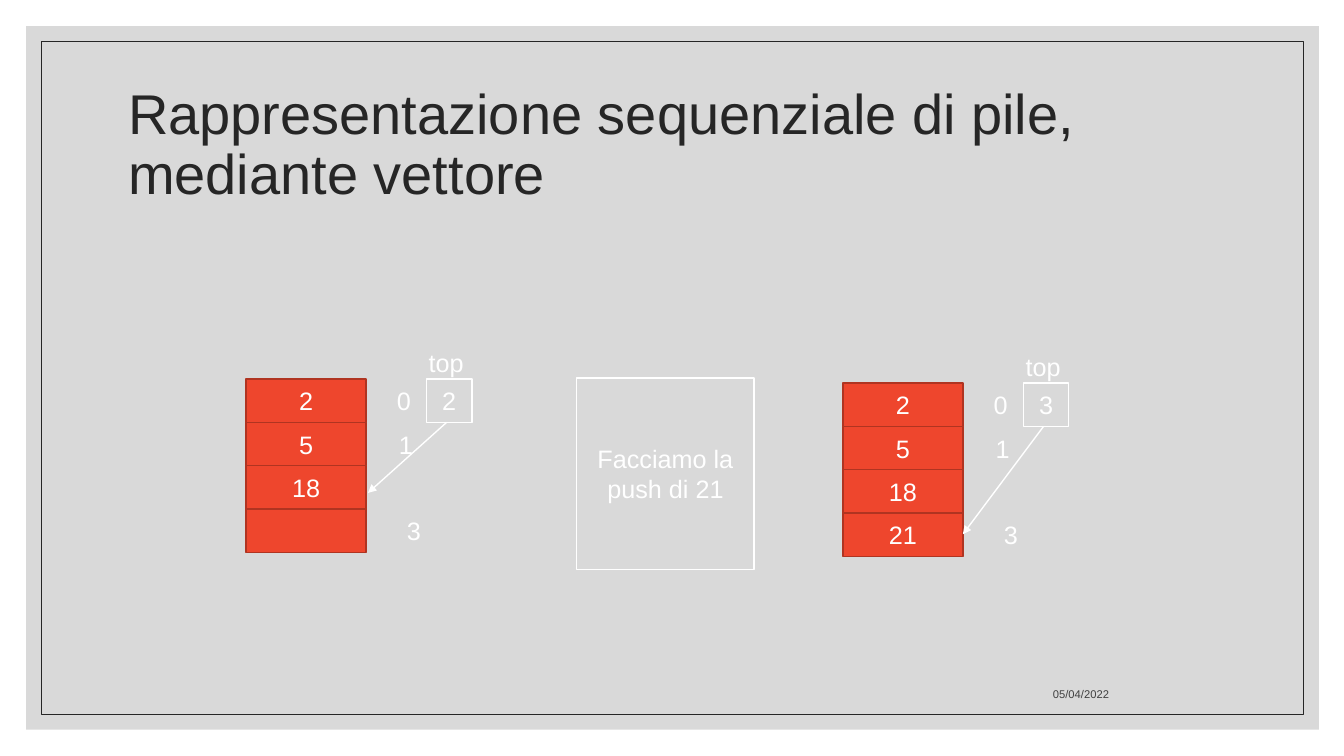
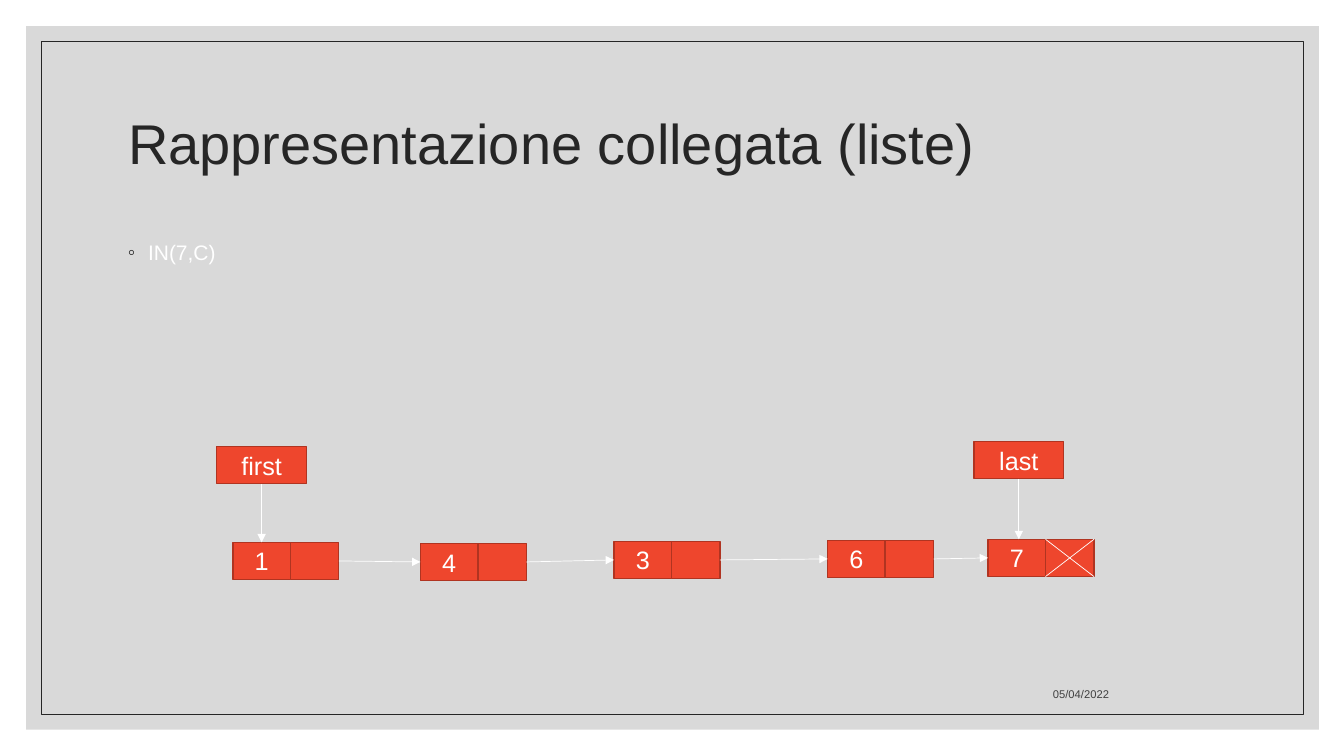
from lxml import etree
from pptx import Presentation
from pptx.dml.color import RGBColor
from pptx.enum.shapes import MSO_CONNECTOR, MSO_SHAPE
from pptx.enum.text import MSO_ANCHOR, MSO_AUTO_SIZE, PP_ALIGN
from pptx.oxml.ns import qn
from pptx.util import Inches, Pt

RECTANGLE = MSO_SHAPE.RECTANGLE
STRAIGHT = MSO_CONNECTOR.STRAIGHT
TOP, MIDDLE, BOTTOM = MSO_ANCHOR.TOP, MSO_ANCHOR.MIDDLE, MSO_ANCHOR.BOTTOM
LEFT, CENTER, RIGHT = PP_ALIGN.LEFT, PP_ALIGN.CENTER, PP_ALIGN.RIGHT
NO_AUTOFIT = MSO_AUTO_SIZE.NONE

COLORS = {
    "panel": "D9D9D9",
    "ink": "262626",
    "date": "404040",
    "cell": "EE462D",
    "cell_edge": "B03421",
    "light": "FFFFFF",
}
FONT = "Arial"
TITLE_ONLY = 5
GRID = Inches(0.1)
DATE = "05/04/2022"

STACK_WIDTH = 11.9
STACK_ROW = 4.3
INDEX_WIDTH = 4.5
INDEX_LABELS = [(0, 13.4, 4.5), (1, 13.6, 4.5), (3, 13.4, 6.5)]
TOP_OFFSET = 17.9

DATA_WIDTH = 5.7
LINK_WIDTH = 4.8
NODE_HEIGHT = 3.7
POINTER_WIDTH = 8.9
NODES = [("1", 23.1, 53.8), ("4", 41.7, 53.9), ("3", 60.9, 53.7),
         ("6", 82.1, 53.6), ("7", 98, 53.5)]


def on_grid(*cells):
    return [int(cell * GRID) for cell in cells]


def color(name):
    return RGBColor.from_string(COLORS[name])


def write(shape, text, size=18, ink="light", align=CENTER, anchor=MIDDLE):
    frame = shape.text_frame
    frame.text = text
    frame.word_wrap = True
    frame.auto_size = NO_AUTOFIT
    frame.vertical_anchor = anchor
    paragraph = frame.paragraphs[0]
    paragraph.alignment = align
    for run in paragraph.runs:
        run.font.name = FONT
        run.font.size = Pt(size)
        run.font.color.rgb = color(ink)
    return paragraph


def add_box(slide, area, text="", fill=None, edge=None, weight=1):
    box = slide.shapes.add_shape(RECTANGLE, *on_grid(*area))
    box.shadow.inherit = False
    if fill:
        box.fill.solid()
        box.fill.fore_color.rgb = color(fill)
    else:
        box.fill.background()
    if edge:
        box.line.color.rgb = color(edge)
        box.line.width = Pt(weight)
    else:
        box.line.fill.background()
    if text:
        write(box, text)
    return box


def add_cell(slide, area, text=""):
    return add_box(slide, area, text, "cell", "cell_edge")


def add_label(slide, area, text, **style):
    label = slide.shapes.add_textbox(*on_grid(*area))
    return write(label, text, **style)


def add_line(slide, start, end, weight=0.5, arrow=True):
    line = slide.shapes.add_connector(STRAIGHT, *on_grid(*start, *end))
    line.line.color.rgb = color("light")
    line.line.width = Pt(weight)
    if arrow:
        outline = line.line._get_or_add_ln()
        etree.SubElement(outline, qn("a:tailEnd"), type="triangle")
    etree.SubElement(line._element.spPr, qn("a:effectLst"))


def add_bullet(slide, area, text):
    paragraph = add_label(slide, area, text, size=15, align=LEFT, anchor=TOP)
    paragraph.line_spacing = 1.1
    paragraph.space_before = Pt(9)
    properties = paragraph._p.get_or_add_pPr()
    properties.set("marL", str(Inches(0.2)))
    properties.set("indent", str(-Inches(0.2)))
    bullet_color = etree.SubElement(properties, qn("a:buClr"))
    etree.SubElement(bullet_color, qn("a:srgbClr"), val=COLORS["ink"])
    etree.SubElement(properties, qn("a:buFont"), typeface=FONT)
    etree.SubElement(properties, qn("a:buChar"), char="◦")


def add_page(deck, heading):
    slide = deck.slides.add_slide(deck.slide_layouts[TITLE_ONLY])
    panel = add_box(slide, (2.6, 2.6, 128.2, 69.8), fill="panel")
    border = add_box(slide, (4.1, 4.1, 125.2, 66.8), edge="ink", weight=0.5)
    for backdrop in (border, panel):
        slide.shapes._spTree.insert(2, backdrop._element)
    title = slide.shapes.title
    title.left, title.top, title.width, title.height = on_grid(11.7, 7, 110, 15)
    write(title, heading, size=40, ink="ink", align=LEFT).line_spacing = 0.9
    add_label(slide, (79.4, 66, 31.6, 4), DATE,
              size=8, ink="date", align=RIGHT, anchor=BOTTOM)
    return slide


def add_stack(slide, left, top, values, top_index, tip):
    for row, value in enumerate(values):
        add_cell(slide, (left, top + row * STACK_ROW, STACK_WIDTH, STACK_ROW), value)
    for index, offset, width in INDEX_LABELS:
        area = (left + offset, top + index * STACK_ROW, width, STACK_ROW)
        add_label(slide, area, str(index))
    add_label(slide, (left + 15.4, top - 3.8, 8.9, STACK_ROW), "top")
    add_box(slide, (left + TOP_OFFSET, top, INDEX_WIDTH, STACK_ROW),
            top_index, edge="light")
    tip_offset, tip_drop = tip
    add_line(slide, (left + TOP_OFFSET + 2, top + STACK_ROW),
             (left + tip_offset, top + tip_drop), weight=1)


def add_node(slide, value, left, top):
    add_cell(slide, (left, top, DATA_WIDTH, NODE_HEIGHT), value)
    add_cell(slide, (left + DATA_WIDTH, top, LINK_WIDTH, NODE_HEIGHT))


def add_pointer(slide, name, left, top, node_top):
    add_cell(slide, (left, top, POINTER_WIDTH, NODE_HEIGHT), name)
    center = left + POINTER_WIDTH / 2
    add_line(slide, (center, top + NODE_HEIGHT), (center, node_top))


def add_linked_list(slide):
    for node in NODES:
        add_node(slide, *node)
    middle = NODE_HEIGHT / 2
    for (_, left, top), (_, next_left, next_top) in zip(NODES, NODES[1:]):
        add_line(slide, (left + DATA_WIDTH + LINK_WIDTH, top + middle),
                 (next_left, next_top + middle))
    _, last_left, last_top = NODES[-1]
    near = last_left + DATA_WIDTH
    far = near + LINK_WIDTH
    bottom = last_top + NODE_HEIGHT
    add_line(slide, (near, last_top), (far, bottom), arrow=False)
    add_line(slide, (far, last_top), (near, bottom), arrow=False)
    add_pointer(slide, "first", 21.5, 44.3, NODES[0][2])
    add_pointer(slide, "last", 96.6, 43.8, last_top)


def main():
    deck = Presentation()
    deck.slide_width, deck.slide_height = Inches(13.33), Inches(7.5)

    vector = add_page(deck, "Rappresentazione sequenziale di pile, mediante vettore")
    add_stack(vector, 24.4, 37.6, ["2", "5", "18", ""], "2", (12.1, 11.3))
    add_box(vector, (57.2, 37.5, 17.6, 19), "Facciamo la push di 21", edge="light")
    add_stack(vector, 83.6, 38, ["2", "5", "18", "21"], "3", (STACK_WIDTH, 15))

    linked = add_page(deck, "Rappresentazione collegata (liste)")
    add_bullet(linked, (11.7, 23, 110, 42.1), "IN(7,C)")
    add_linked_list(linked)

    deck.save("out.pptx")


main()
